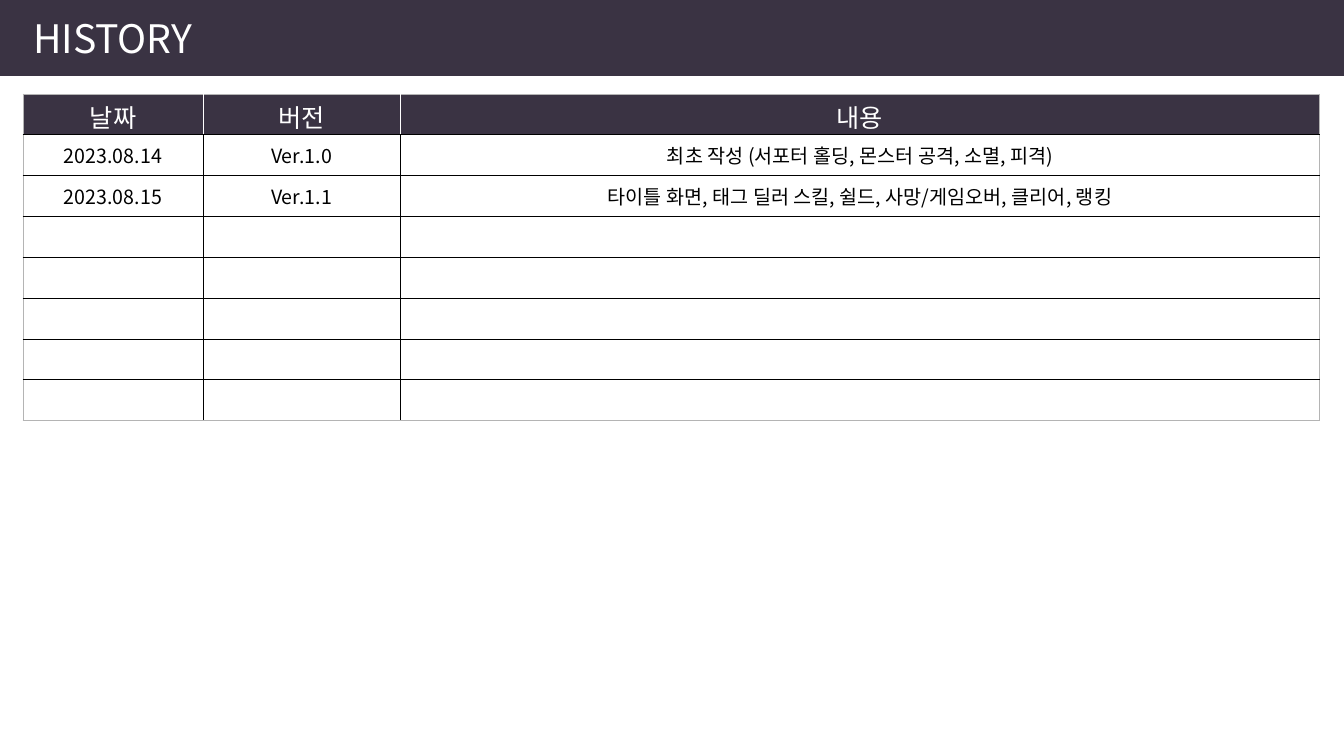
from lxml import etree
from pptx import Presentation
from pptx import util as u
from pptx.dml.color import RGBColor
from pptx.enum import shapes, text
from pptx.oxml.ns import qn

PX = 914400 / 100.8
FONT = "Noto Sans CJK KR"
DARK, WHITE, BLACK, GREY = "3A3343", "FFFFFF", "000000", "B4B4B4"

HEADER = ("날짜", "버전", "내용")
ENTRIES = [
    ("2023.08.14", "Ver.1.0", "최초 작성 (서포터 홀딩, 몬스터 공격, 소멸, 피격)"),
    ("2023.08.15", "Ver.1.1",
     "타이틀 화면, 태그 딜러 스킬, 쉴드, 사망/게임오버, 클리어, 랭킹"),
]
EMPTY_ROWS = 5
COLUMNS = (180, 197, 920)


def px(n):
    return u.Emu(round(n * PX))


def rgb(value):
    return RGBColor.from_string(value)


def style(p, size, color, align):
    p.alignment = align
    p.font.size = u.Pt(size)
    p.font.name = FONT
    p.font.color.rgb = rgb(color)
    # Korean glyphs take the East Asian typeface
    latin = p.font._element.find(qn("a:latin"))
    ea = etree.Element(qn("a:ea"), typeface=FONT)
    latin.addnext(ea)


def set_borders(cell, **colors):
    tcPr = cell._tc.get_or_add_tcPr()
    for i, side in enumerate(("L", "R", "T", "B")):
        ln = etree.Element(qn(f"a:ln{side}"), w=str(u.Pt(0.75)))
        fill = etree.SubElement(ln, qn("a:solidFill"))
        etree.SubElement(fill, qn("a:srgbClr"), val=colors[side])
        tcPr.insert(i, ln)


def add_title_band(s, x, y, w, h):
    band = s.shapes.add_shape(shapes.MSO_SHAPE.RECTANGLE,
                              px(x), px(y), px(w), px(h))
    band.shadow.inherit = False
    band.fill.solid()
    band.fill.fore_color.rgb = rgb(DARK)
    band.line.fill.background()

    title = s.shapes.title
    title._element.addprevious(band._element)
    title.left, title.top = px(x + 23), px(y + 9)
    title.width, title.height = px(179), px(57)
    tf = title.text_frame
    tf.text = "HISTORY"
    tf.word_wrap = False
    tf.auto_size = text.MSO_AUTO_SIZE.NONE
    tf.vertical_anchor = text.MSO_ANCHOR.TOP
    tf.margin_left, tf.margin_right = px(10), 0
    style(tf.paragraphs[0], 28, WHITE, text.PP_ALIGN.LEFT)


def add_history_table(s, x, y, w, h):
    rows = [HEADER, *ENTRIES] + [("",) * len(HEADER)] * EMPTY_ROWS
    table = s.shapes.add_table(len(rows), len(HEADER),
                               px(x), px(y), px(w), px(h)).table
    table.first_row = table.horz_banding = False
    for column, width in zip(table.columns, COLUMNS):
        column.width = px(width)

    last_row, last_col = len(rows) - 1, len(HEADER) - 1
    for r, values in enumerate(rows):
        table.rows[r].height = px(h / len(rows))
        inner = WHITE if r == 0 else BLACK
        for c, value in enumerate(values):
            cell = table.cell(r, c)
            cell.text = value
            cell.vertical_anchor = text.MSO_ANCHOR.MIDDLE
            p = cell.text_frame.paragraphs[0]
            if r == 0:
                cell.margin_top, cell.margin_bottom = px(4), 0
                cell.fill.solid()
                cell.fill.fore_color.rgb = rgb(DARK)
                style(p, 18, WHITE, text.PP_ALIGN.CENTER)
            else:
                cell.fill.background()
                style(p, 14, BLACK, text.PP_ALIGN.CENTER)
            # The outer frame is lighter than the inner grid
            set_borders(cell,
                        L=inner if c > 0 else GREY,
                        R=inner if c < last_col else GREY,
                        T=BLACK if r > 0 else GREY,
                        B=BLACK if r < last_row else GREY)


def main():
    prs = Presentation()
    prs.slide_width, prs.slide_height = px(1344), px(756)
    s = prs.slides.add_slide(prs.slide_layouts[5])
    add_title_band(s, 0, 0, 1344, 76)
    add_history_table(s, 23, 94, sum(COLUMNS), 327)
    prs.save("out.pptx")


if __name__ == "__main__":
    main()
